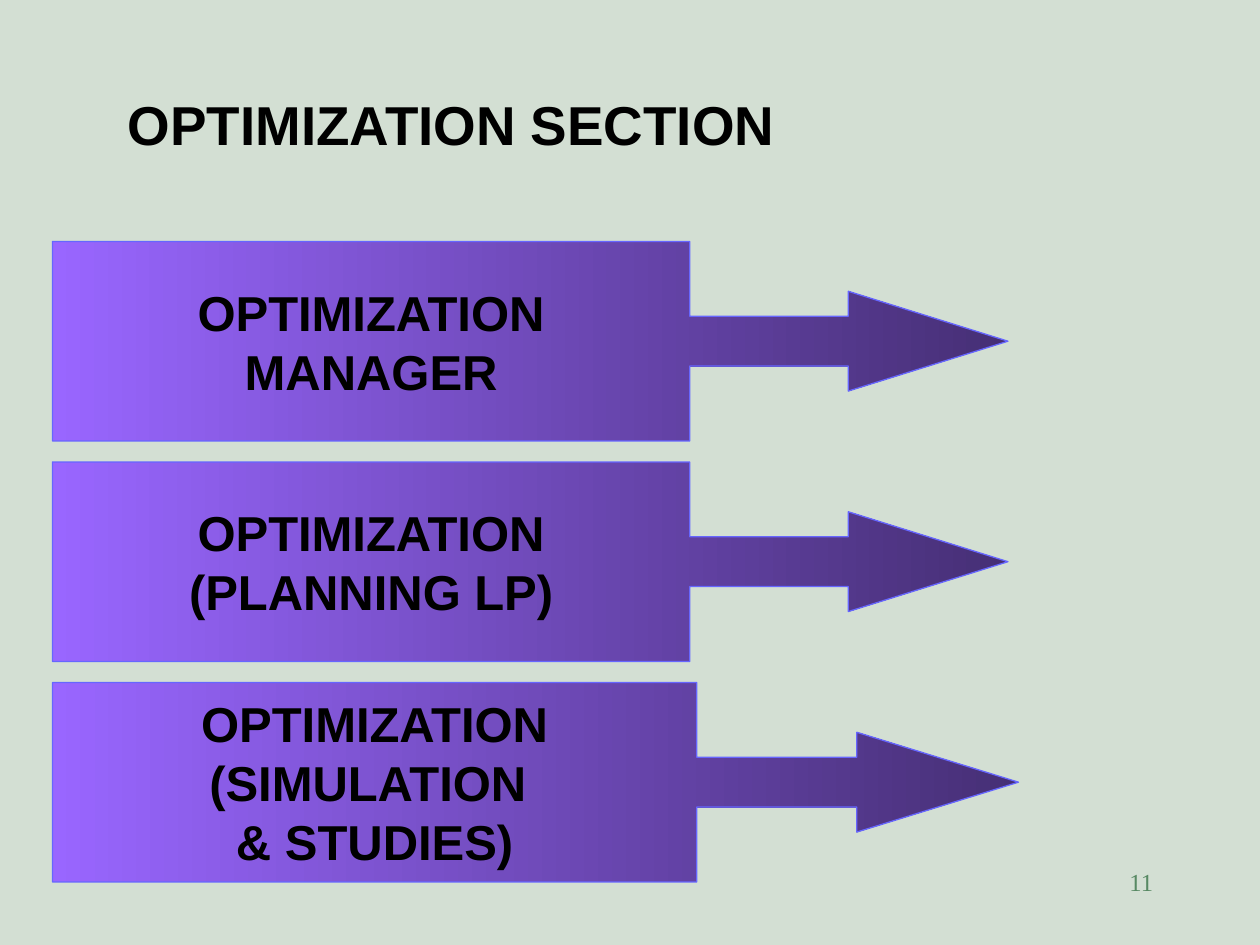
from pptx import Presentation
from pptx.dml.color import RGBColor
from pptx.enum.shapes import MSO_SHAPE
from pptx.enum.text import MSO_ANCHOR, PP_ALIGN
from pptx.util import Pt

ARROW_CALLOUT = MSO_SHAPE.RIGHT_ARROW_CALLOUT
MIDDLE = MSO_ANCHOR.MIDDLE
LEFT, CENTER, RIGHT = PP_ALIGN.LEFT, PP_ALIGN.CENTER, PP_ALIGN.RIGHT

BACKGROUND = RGBColor(0xD3, 0xDF, 0xD3)
BLACK = RGBColor(0x00, 0x00, 0x00)
GREEN = RGBColor(0x57, 0x89, 0x63)
DARK_PURPLE = RGBColor(0x46, 0x2F, 0x75)
LIGHT_PURPLE = RGBColor(0x99, 0x66, 0xFF)
OUTLINE = RGBColor(0x66, 0x66, 0xFF)

CALLOUT_LEFT, CALLOUT_TOP, CALLOUT_HEIGHT, CALLOUT_PITCH = 30, 138, 114, 126
CALLOUTS = [
    (546, 0.8, ["OPTIMIZATION", "MANAGER"]),
    (546, 0.8, ["OPTIMIZATION", "(PLANNING LP)"]),
    (552, 0.81, ["OPTIMIZATION", "(SIMULATION ", "& STUDIES)"]),
]


def write_line(paragraph, text, size, align, font="Arial", color=BLACK, bold=True):
    paragraph.alignment = align
    run = paragraph.add_run()
    run.text = text
    run.font.name = font
    run.font.size = Pt(size)
    run.font.bold = bold
    run.font.color.rgb = color
    return run


def add_text_frame(slide, left, top, width, height):
    frame = slide.shapes.add_textbox(Pt(left), Pt(top), Pt(width), Pt(height)).text_frame
    frame.word_wrap = True
    return frame


def add_title(slide, text):
    frame = add_text_frame(slide, 66, 24, 612, 108)
    frame.vertical_anchor = MIDDLE
    title = write_line(frame.paragraphs[0], text, 54, LEFT)
    title.font._element.set("baseline", "30000")


def add_callout(slide, row, width, head_reach, lines):
    callout = slide.shapes.add_shape(
        ARROW_CALLOUT, Pt(CALLOUT_LEFT), Pt(CALLOUT_TOP + row * CALLOUT_PITCH),
        Pt(width), Pt(CALLOUT_HEIGHT))
    callout.shadow.inherit = False
    for index, ratio in enumerate((0.25, 0.25, head_reach, 0.667)):
        callout.adjustments[index] = ratio
    callout.fill.gradient()
    callout.fill.gradient_angle = 180
    for stop, color in zip(callout.fill.gradient_stops, (DARK_PURPLE, LIGHT_PURPLE)):
        stop.color.rgb = color
    callout.line.color.rgb = OUTLINE
    callout.line.width = Pt(0.75)

    frame = callout.text_frame
    frame.word_wrap = False
    frame.vertical_anchor = MIDDLE
    for index, text in enumerate(lines):
        paragraph = frame.add_paragraph() if index else frame.paragraphs[0]
        write_line(paragraph, text, 28, CENTER)


def add_page_number(slide, number):
    frame = add_text_frame(slide, 516, 492, 150, 36)
    write_line(frame.paragraphs[0], number, 14, RIGHT, "Times New Roman", GREEN, False)


def main():
    deck = Presentation()
    deck.slide_width, deck.slide_height = Pt(720), Pt(540)
    slide = deck.slides.add_slide(deck.slide_layouts[6])
    slide.background.fill.solid()
    slide.background.fill.fore_color.rgb = BACKGROUND

    add_title(slide, "OPTIMIZATION SECTION")
    for row, (width, head_reach, lines) in enumerate(CALLOUTS):
        add_callout(slide, row, width, head_reach, lines)
    add_page_number(slide, "11")
    deck.save("out.pptx")


if __name__ == "__main__":
    main()
